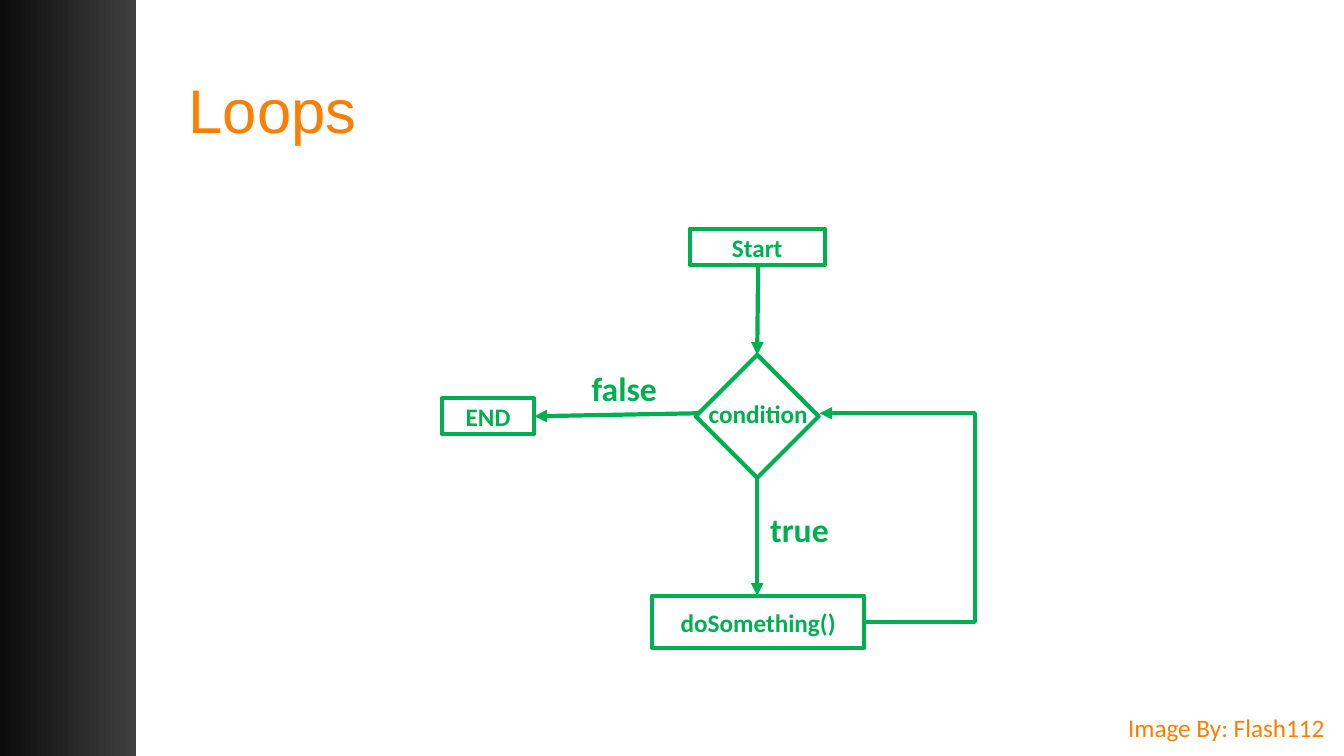
import pptx
import pptx.dml.color
import pptx.enum.shapes
import pptx.enum.text
import pptx.oxml
import pptx.oxml.ns
import pptx.util
from pptx.util import Inches

GREEN = "00B050"
ORANGE = "FB7F03"
WHITE = "FFFFFF"
SHAPE = pptx.enum.shapes.MSO_SHAPE
CONNECTOR = pptx.enum.shapes.MSO_CONNECTOR
ALIGN = pptx.enum.text.PP_ALIGN
ANCHOR = pptx.enum.text.MSO_ANCHOR


def rgb(value):
    return pptx.dml.color.RGBColor.from_string(value)


def drawing_element(tag, attributes=""):
    return pptx.oxml.parse_xml(
        f'<a:{tag} {pptx.oxml.ns.nsdecls("a")} {attributes}/>')


def write(s, text, size, color, font="Calibri", bold=False, align=ALIGN.LEFT):
    tf = s.text_frame
    tf.text = text
    p = tf.paragraphs[0]
    p.alignment = align
    r = p.runs[0]
    r.font.name = font
    r.font.size = pptx.util.Pt(size)
    r.font.bold = bold
    r.font.color.rgb = rgb(color)


def add_label(shapes, box, text, size, color, bold=False):
    s = shapes.add_textbox(*map(Inches, box))
    s.text_frame.word_wrap = False
    write(s, text, size, color, bold=bold)


def add_node(shapes, kind, box, text=None):
    """Add a white flowchart shape with a green outline."""
    s = shapes.add_shape(kind, *map(Inches, box))
    s.shadow.inherit = False
    s.fill.solid()
    s.fill.fore_color.rgb = rgb(WHITE)
    s.line.color.rgb = rgb(GREEN)
    s.line.width = pptx.util.Pt(3)
    if text:
        s.text_frame.vertical_anchor = ANCHOR.MIDDLE
        write(s, text, 18, GREEN, bold=True, align=ALIGN.CENTER)


def add_arrow(shapes, start, end, kind=CONNECTOR.STRAIGHT):
    s = shapes.add_connector(kind, *map(Inches, start + end))
    s.line.color.rgb = rgb(GREEN)
    s.line.width = pptx.util.Pt(3)
    sp = s._element.spPr
    sp.get_or_add_ln().append(drawing_element("tailEnd", 'type="triangle"'))
    sp.append(drawing_element("effectLst"))
    return s


def add_sidebar(shapes):
    s = shapes.add_shape(SHAPE.RECTANGLE, 0, 0, Inches(1.35), Inches(7.5))
    s.shadow.inherit = False
    s.line.fill.background()
    s.fill.gradient()
    s.fill.gradient_angle = 0
    for stop, color in zip(s.fill.gradient_stops, ("0C0C0C", "3F3F3F")):
        stop.color.rgb = rgb(color)


def add_title(slide, text):
    s = slide.shapes.title
    s.left, s.top, s.width, s.height = map(Inches, (1.77, 0.4, 10.64, 1.45))
    s.text_frame.vertical_anchor = ANCHOR.MIDDLE
    write(s, text, 44, ORANGE, font="Arial")
    s.text_frame.paragraphs[0].line_spacing = 0.9


def add_loop_chart(shapes):
    add_node(shapes, SHAPE.RECTANGLE, (6.84, 2.27, 1.34, 0.36), "Start")
    add_node(shapes, SHAPE.RECTANGLE, (4.38, 3.95, 0.92, 0.36), "END")
    add_node(shapes, SHAPE.RECTANGLE, (6.47, 5.91, 2.1, 0.52), "doSomething()")

    condition = shapes.add_group_shape().shapes
    add_node(condition, SHAPE.DIAMOND, (6.9, 3.52, 1.22, 1.22))
    add_label(condition, (6.93, 3.9, 1.19, 0.4), "condition", 18, GREEN, bold=True)

    add_arrow(shapes, (7.52, 2.63), (7.51, 3.52))
    add_arrow(shapes, (6.93, 4.1), (5.3, 4.13))
    add_arrow(shapes, (7.51, 4.73), (7.51, 5.91))
    back = add_arrow(shapes, (8.56, 6.17), (8.13, 4.1), CONNECTOR.ELBOW)
    # A negative adjustment takes the bend out to the right of both ends.
    guides = back._element.spPr.prstGeom.get_or_add_avLst()
    guides.append(drawing_element("gd", 'name="adj1" fmla="val -258000"'))

    add_label(shapes, (7.54, 5, 0.79, 0.5), "true", 24, GREEN, bold=True)
    add_label(shapes, (5.77, 3.6, 0.86, 0.5), "false", 24, GREEN, bold=True)


def main():
    prs = pptx.Presentation()
    prs.slide_width, prs.slide_height = Inches(13.33), Inches(7.5)
    slide = prs.slides.add_slide(prs.slide_layouts[5])
    add_sidebar(slide.shapes)
    add_label(slide.shapes, (11.09, 7.02, 2.17, 0.4), "Image By: Flash112", 18, ORANGE)
    add_title(slide, "Loops")
    add_loop_chart(slide.shapes)
    prs.save("out.pptx")


if __name__ == "__main__":
    main()
